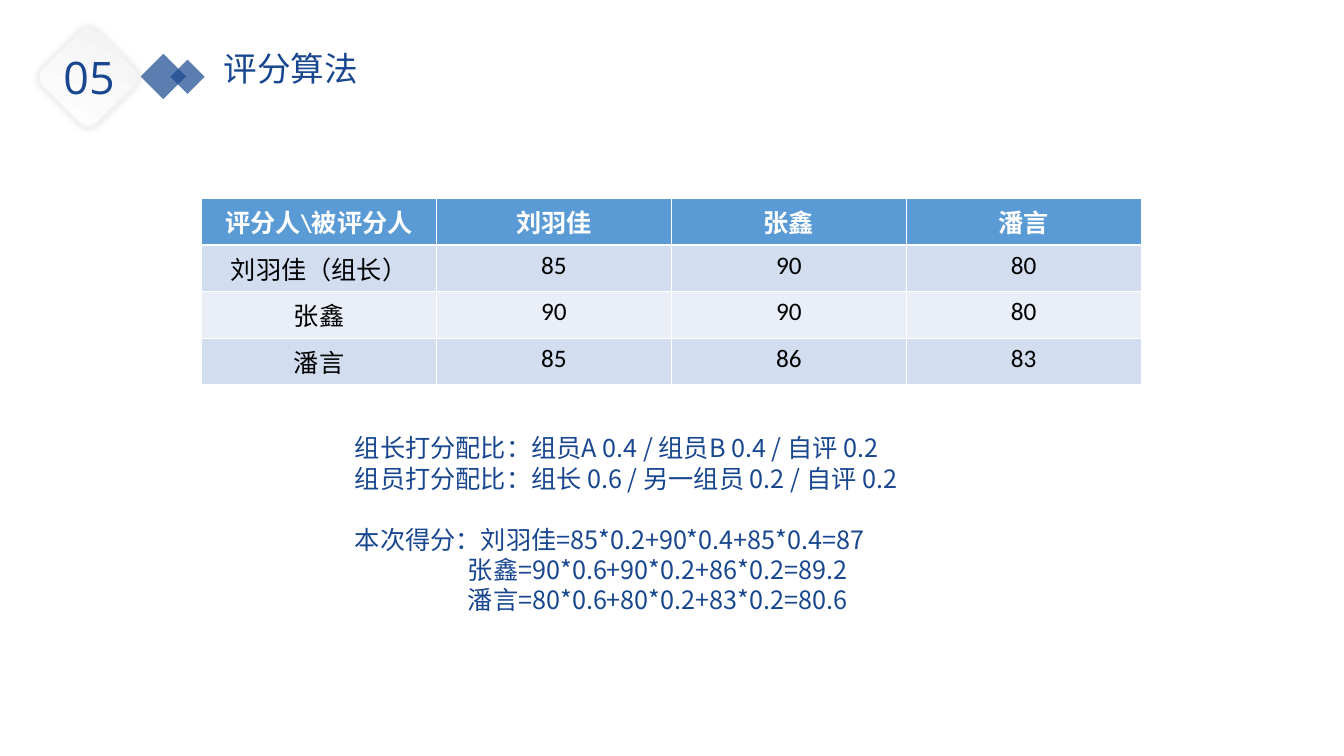
from lxml import etree
from pptx import Presentation
from pptx.dml.color import RGBColor
from pptx.enum.shapes import MSO_SHAPE
from pptx.enum.text import MSO_ANCHOR, MSO_AUTO_SIZE, PP_ALIGN
from pptx.oxml.ns import qn
from pptx.util import Cm, Pt

RECT, ROUND = MSO_SHAPE.RECTANGLE, MSO_SHAPE.ROUNDED_RECTANGLE
LEFT, CENTER = PP_ALIGN.LEFT, PP_ALIGN.CENTER
TOP, MIDDLE = MSO_ANCHOR.TOP, MSO_ANCHOR.MIDDLE
FIXED = MSO_AUTO_SIZE.NONE

COLORS = {
    "navy": "18478F", "white": "FFFFFF", "pale": "F2F2F2", "black": "000000",
    "head": "5B9BD5", "odd": "D2DEEF", "even": "EAEFF7",
}
TITLE = "评分算法"
NUMBER = "05"
SCORES = [
    ("评分人\\被评分人", "刘羽佳", "张鑫", "潘言"),
    ("刘羽佳（组长）", "85", "90", "80"),
    ("张鑫", "90", "90", "80"),
    ("潘言", "85", "86", "83"),
]
# text, left indent in cm, space before in points
RULES = [
    ("组长打分配比：组员A 0.4 / 组员B 0.4 / 自评 0.2", 0, 0),
    ("组员打分配比：组长 0.6 / 另一组员 0.2 / 自评 0.2", 0, 0),
    ("本次得分：刘羽佳=85*0.2+90*0.4+85*0.4=87", 0, 21.7),
    ("张鑫=90*0.6+90*0.2+86*0.2=89.2", 2.85, 0),
    ("潘言=80*0.6+80*0.2+83*0.2=80.6", 2.85, 0),
]
# left, top, side in cm
DIAMONDS = [(3.71, 1.52, 0.81), (4.42, 1.63, 0.61)]
BADGE = (1.24, 0.97, 1.96)
COL_W, ROW_H = 5.92, 1.06


def tint(name):
    return RGBColor.from_string(COLORS[name])


def style(para, font, size, color, bold=False, align=LEFT):
    para.alignment = align
    for run in para.runs:
        run.font.name, run.font.size, run.font.bold = font, Pt(size), bold
        run.font.color.rgb = tint(color)


def place(shape, left, top, width, height, anchor):
    shape.left, shape.top = Cm(left), Cm(top)
    shape.width, shape.height = Cm(width), Cm(height)
    frame = shape.text_frame
    frame.word_wrap, frame.auto_size = True, FIXED
    frame.vertical_anchor = anchor
    return frame


def add_square(slide, kind, left, top, side, turn):
    shape = slide.shapes.add_shape(kind, Cm(left), Cm(top), Cm(side), Cm(side))
    shape.rotation = turn
    shape.shadow.inherit = False
    return shape


def add_alpha(color, percent):
    etree.SubElement(color, qn("a:alpha"), val=str(percent * 1000))


def add_badge(slide):
    badge = add_square(slide, ROUND, *BADGE, 45)
    badge.fill.gradient()
    badge.fill.gradient_angle = 110
    for stop, name in zip(badge.fill.gradient_stops, ("white", "pale")):
        stop.color.rgb = tint(name)
    badge.line.color.rgb = tint("pale")
    badge.line.width = Pt(2)
    effects = badge.element.spPr.find(qn("a:effectLst"))
    glow = etree.SubElement(effects, qn("a:outerShdw"), blurRad=str(Pt(5)), dist="0")
    color = etree.SubElement(glow, qn("a:srgbClr"), val=COLORS["black"])
    add_alpha(color, 11)


def add_header(slide):
    for left, top, side in DIAMONDS:
        mark = add_square(slide, RECT, left, top, side, 225)
        mark.fill.solid()
        mark.fill.fore_color.rgb = tint("navy")
        add_alpha(mark.element.spPr.find(".//" + qn("a:srgbClr")), 70)
        mark.line.fill.background()
    add_badge(slide)
    box = slide.shapes.add_textbox(0, 0, 0, 0)
    frame = place(box, 1.35, 1.12, 2.16, 1.63, TOP)
    frame.text = NUMBER
    style(frame.paragraphs[0], "Open Sans", 32, "navy")
    frame = place(slide.shapes.title, 5.38, 1.09, 6.73, 1.27, MIDDLE)
    frame.text = TITLE
    style(frame.paragraphs[0], "Open Sans", 24, "navy")


def add_scores(slide):
    rows, cols = len(SCORES), len(SCORES[0])
    table = slide.shapes.add_table(
        rows, cols, Cm(5.08), Cm(5), Cm(COL_W * cols), Cm(ROW_H * rows)).table
    for r, row in enumerate(SCORES):
        band = "head" if r == 0 else "odd" if r % 2 else "even"
        for c, text in enumerate(row):
            cell = table.cell(r, c)
            cell.fill.solid()
            cell.fill.fore_color.rgb = tint(band)
            cell.text = text
            style(cell.text_frame.paragraphs[0], "Calibri", 18,
                  "black" if r else "white", r == 0, CENTER)


def add_rules(slide):
    frame = place(slide.placeholders[1], 8.69, 10.77, 16.48, 4.88, TOP)
    frame.text = "\n".join(text for text, _, _ in RULES)
    for para, (_, indent, gap) in zip(frame.paragraphs, RULES):
        style(para, "Noto Sans CJK SC", 18, "navy")
        para.line_spacing, para.space_before = Pt(21.7), Pt(gap)
        props = para._p.get_or_add_pPr()
        props.set("marL", str(Cm(indent)))
        props.set("indent", "0")
        etree.SubElement(props, qn("a:buNone"))


def main():
    deck = Presentation()
    deck.slide_width, deck.slide_height = Cm(33.87), Cm(19.05)
    slide = deck.slides.add_slide(deck.slide_layouts[1])
    add_header(slide)
    add_scores(slide)
    add_rules(slide)
    deck.save("out.pptx")


if __name__ == "__main__":
    main()
